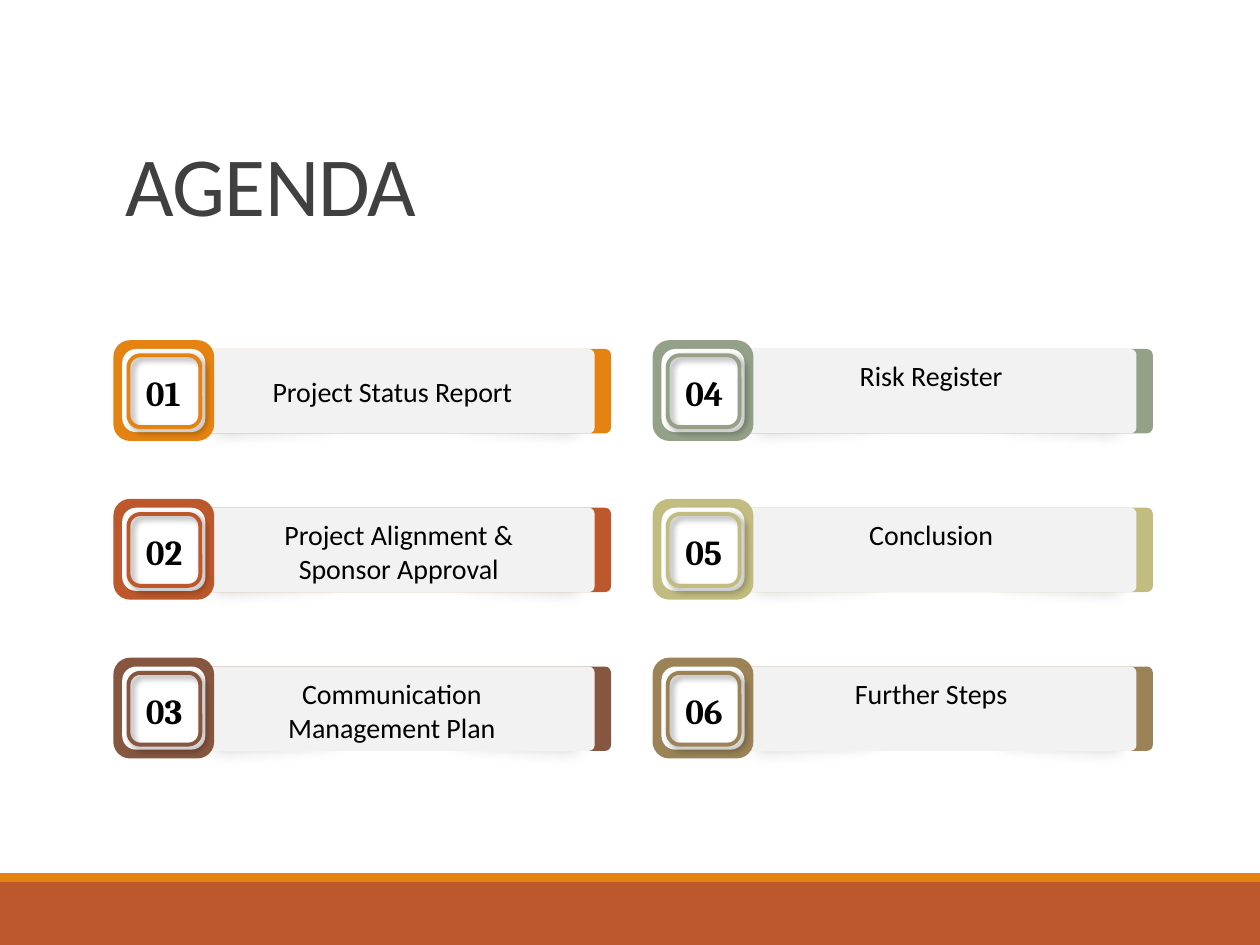
from lxml import etree
from pptx import Presentation, util as u
from pptx.dml.color import RGBColor
from pptx.enum import shapes, text
from pptx.oxml import ns

BLACK = RGBColor(0x00, 0x00, 0x00)
WHITE = RGBColor(0xFF, 0xFF, 0xFF)
GREY = RGBColor(0xF2, 0xF2, 0xF2)
DARK = RGBColor(0x40, 0x40, 0x40)
ORANGE = RGBColor(0xE4, 0x83, 0x12)
RUST = RGBColor(0xBD, 0x58, 0x2C)
BROWN = RGBColor(0x86, 0x56, 0x40)
SAGE = RGBColor(0x94, 0xA0, 0x88)
OLIVE = RGBColor(0xC2, 0xBC, 0x80)
TAN = RGBColor(0x9B, 0x83, 0x57)

RECT = shapes.MSO_SHAPE.RECTANGLE
ROUND = shapes.MSO_SHAPE.ROUNDED_RECTANGLE
CENTER = text.PP_ALIGN.CENTER

LABEL = {"size": u.Pt(16), "name": "Calibri"}
NUMBER = {"size": u.Pt(20), "name": "Cambria", "bold": True}
TITLE = {"size": u.Pt(48), "name": "Calibri"}

presentation = Presentation()
presentation.slide_width = u.Inches(10)
presentation.slide_height = u.Inches(7.5)
slide = presentation.slides.add_slide(presentation.slide_layouts[6])


def add_box(kind, box, fill=None, line=None, radius=None, shadow=None):
    """Add a shape; shadow is (opacity %, blur pt, distance pt)."""
    shape = slide.shapes.add_shape(kind, *map(u.Inches, box))
    shape.shadow.inherit = False
    if fill is None:
        shape.fill.background()
    else:
        shape.fill.solid()
        shape.fill.fore_color.rgb = fill
    if line is None:
        shape.line.fill.background()
    else:
        shape.line.color.rgb = line
        shape.line.width = u.Pt(2.25)
    if radius is not None:
        shape.adjustments[0] = radius
    if shadow:
        opacity, blur, distance = shadow
        effects = shape._element.spPr.find(ns.qn("a:effectLst"))
        outer = etree.SubElement(effects, ns.qn("a:outerShdw"), blurRad=str(u.Pt(blur)),
                                 dist=str(u.Pt(distance)), dir="2700000", algn="tl", rotWithShape="0")
        color = etree.SubElement(outer, ns.qn("a:srgbClr"), val=str(BLACK))
        etree.SubElement(color, ns.qn("a:alpha"), val=str(opacity * 1000))
    return shape


def write(shape, words, font, color=BLACK, wrap=True, anchor=text.MSO_ANCHOR.TOP, **spacing):
    """Put one formatted paragraph into a shape or text box."""
    frame = shape.text_frame
    frame.word_wrap = wrap
    frame.vertical_anchor = anchor
    paragraph = frame.paragraphs[0]
    for name, value in spacing.items():
        setattr(paragraph, name, value)
    run = paragraph.add_run()
    run.text = words
    for name, value in font.items():
        setattr(run.font, name, value)
    run.font.color.rgb = color
    return run


# Footer bands
add_box(RECT, (0, 7, 10, 0.5), RUST)
add_box(RECT, (0, 6.93, 10, 0.07), ORANGE)

# Title
title = slide.shapes.add_textbox(*map(u.Inches, (0.9, 0.31, 8.25, 1.59)))
title_run = write(title, "AGENDA", TITLE, DARK, anchor=text.MSO_ANCHOR.BOTTOM,
                  line_spacing=0.85, space_after=u.Pt(6))
title_run.font._element.set("spc", "-50")

# Agenda items: label, colour, left and width of the label box (None: label inside the bar)
items = [
    ("Project Status Report", ORANGE, None),
    ("Project Alignment & Sponsor Approval", RUST, (1.91, 2.51)),
    ("Communication Management Plan", BROWN, (2.1, 2.02)),
    ("Risk Register", SAGE, (6.38, 2.02)),
    ("Conclusion", OLIVE, (6.38, 2.02)),
    ("Further Steps", TAN, (6.38, 2.02)),
]
ROWS, ROW_PITCH = 3, 1.26
BADGE_LEFTS = (0.9, 5.18)
BAR_LEFTS = (1.51, 5.81)

for index, (label, color, label_box) in enumerate(items):
    column, row = divmod(index, ROWS)
    left, bar_left = BADGE_LEFTS[column], BAR_LEFTS[column]
    top = 2.7 + row * ROW_PITCH

    # Bar with lifted-corner shadows
    for offset, angle in ((0.16, -3.6), (2.12, 3.6)):
        corner = add_box(RECT, (bar_left + offset, top + 0.31, 0.93, 0.37), BLACK, shadow=(20, 10, 3))
        corner.rotation = angle
    add_box(ROUND, (bar_left, top + 0.07, 3.34, 0.67), color, radius=0.07)
    bar = add_box(ROUND, (bar_left, top + 0.07, 3.21, 0.67), GREY, radius=0.07)

    # Number badge
    add_box(ROUND, (left, top, 0.8, 0.8), color)
    add_box(ROUND, (left + 0.07, top + 0.07, 0.66, 0.66), WHITE)
    add_box(ROUND, (left + 0.12, top + 0.12, 0.57, 0.57), line=color, shadow=(40, 4, 3))
    number = slide.shapes.add_textbox(*map(u.Inches, (left + 0.16, top + 0.2, 0.52, 0.43)))
    write(number, f"{index + 1:02}", NUMBER, wrap=False, space_after=u.Pt(5.5))

    # Label
    if label_box is None:
        write(bar, label, LABEL, anchor=text.MSO_ANCHOR.MIDDLE, alignment=CENTER, space_after=u.Pt(5.5))
    else:
        label_left, width = label_box
        caption = slide.shapes.add_textbox(*map(u.Inches, (label_left, top + 0.1, width, 0.64)))
        write(caption, label, LABEL, alignment=CENTER, space_before=u.Pt(4))

presentation.save("out.pptx")
